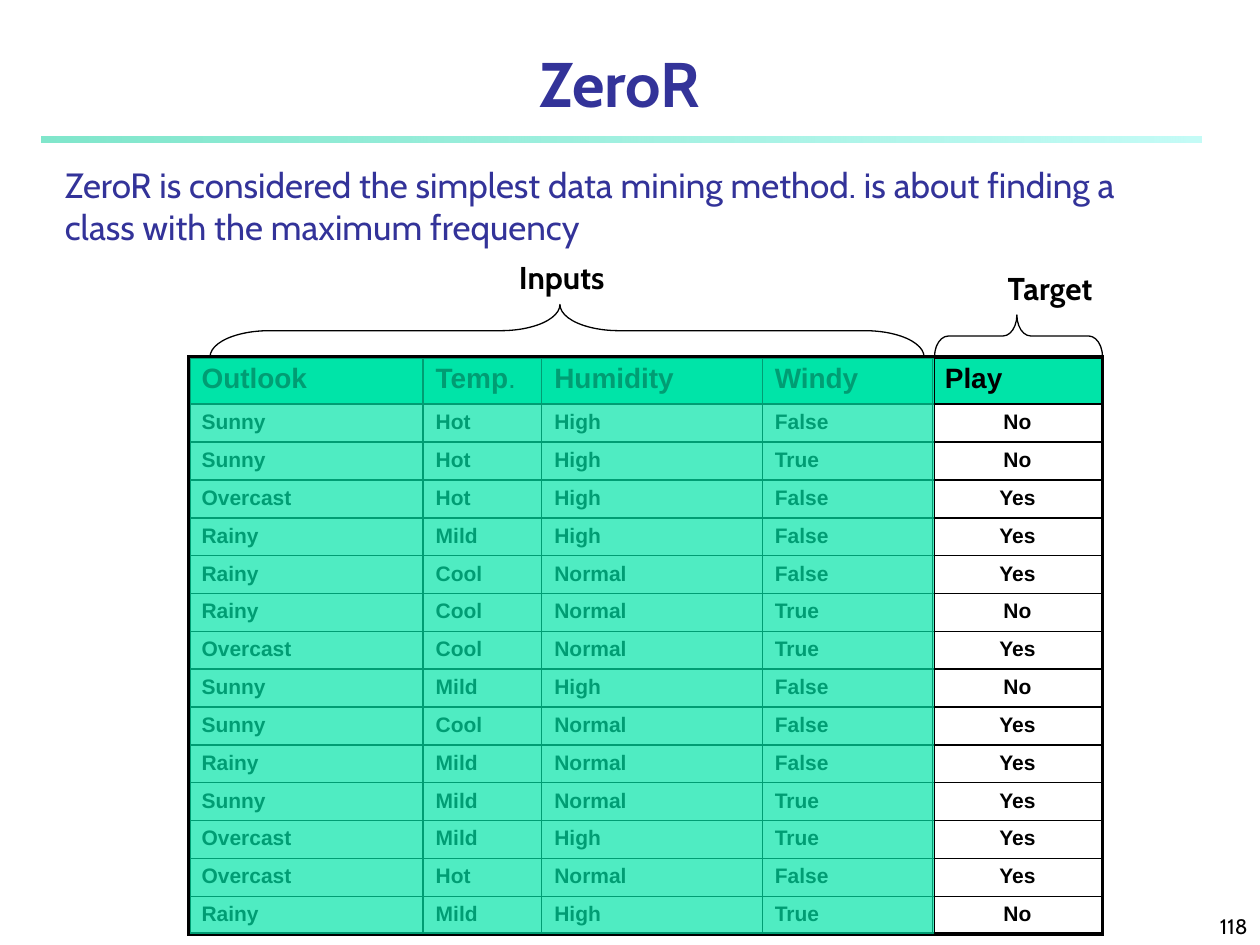
from lxml.etree import SubElement
from pptx import Presentation
from pptx.dml.color import RGBColor
from pptx.enum.shapes import MSO_SHAPE as Shape
from pptx.enum.text import MSO_ANCHOR as Anchor, PP_ALIGN as Align
from pptx.oxml.ns import qn
from pptx.util import Inches, Pt

COLORS = {"ink": "000000", "heading": "333399", "green": "00E4A8",
          "rule_start": "00CE98", "rule_end": "8FF9EF"}
UNIT = Inches(1) // 12  # the slide is a grid of 120 columns by 90 rows


def color(name):
    return RGBColor.from_string(COLORS[name])


def write(frame, text, size=12, font="Cabin", ink="ink", bold=False,
          align=Align.LEFT, anchor=Anchor.TOP):
    frame.word_wrap = True
    frame.vertical_anchor = anchor
    paragraph = frame.paragraphs[0]
    paragraph.alignment = align
    run = paragraph.add_run()
    run.text = text
    run.font.size, run.font.name, run.font.bold = Pt(size), font, bold
    run.font.color.rgb = color(ink)


presentation = Presentation()
presentation.slide_width, presentation.slide_height = 120 * UNIT, 90 * UNIT
slide = presentation.slides.add_slide(presentation.slide_layouts[6])
shapes = slide.shapes

# Rule under the title, fading to the right
rule = shapes.add_shape(Shape.RECTANGLE, 4 * UNIT, 13 * UNIT,
                        int(110.4 * UNIT), int(0.6 * UNIT))
rule.shadow.inherit = False
rule.line.fill.background()
rule.fill.gradient()
rule.fill.gradient_angle = 0
for stop, name in zip(rule.fill.gradient_stops, ("rule_start", "rule_end")):
    stop.color.rgb = color(name)
for tint, alpha in zip(rule.element.spPr.iter(qn("a:srgbClr")), (50, 52)):
    SubElement(tint, qn("a:alpha")).set("val", str(alpha * 1000))

# Title, introduction, page number and brace labels
texts = [
    ("ZeroR", (4, 5, 110, 7),
     dict(size=36, ink="heading", bold=True, align=Align.CENTER, anchor=Anchor.BOTTOM)),
    ("118", (95, 85, 25, 5), dict(align=Align.RIGHT, anchor=Anchor.BOTTOM)),
    ("ZeroR is considered the simplest data mining method. "
     "is about finding a class with the maximum frequency",
     (5, 15, 109, 13), dict(size=20, ink="heading")),
    ("Inputs", (43, 24, 21, 5), dict(size=18, bold=True, align=Align.CENTER)),
    ("Target", (90, 25, 20, 5), dict(size=18, bold=True, align=Align.CENTER)),
]
for text, box, style in texts:
    write(shapes.add_textbox(*(n * UNIT for n in box)).text_frame, text, **style)

# Weather table
rows = [line.split() for line in """\
Outlook Temp Humidity Windy Play
Sunny Hot High False No
Sunny Hot High True No
Overcast Hot High False Yes
Rainy Mild High False Yes
Rainy Cool Normal False Yes
Rainy Cool Normal True No
Overcast Cool Normal True Yes
Sunny Mild High False No
Sunny Cool Normal False Yes
Rainy Mild Normal False Yes
Sunny Mild Normal True Yes
Overcast Mild High True Yes
Overcast Hot Normal False Yes
Rainy Mild High True No""".splitlines()]
column_widths = [22.3, 11.3, 21, 16.2, 16.2]
last_row, last_column = len(rows) - 1, len(column_widths) - 1
table = shapes.add_table(len(rows), len(column_widths), 18 * UNIT, 34 * UNIT,
                         87 * UNIT, 55 * UNIT).table
table.first_row = table.horz_banding = False
for column, width in zip(table.columns, column_widths):
    column.width = int(width * UNIT)
for r, values in enumerate(rows):
    table.rows[r].height = int((3.6 if r else 4.5) * UNIT)
    for c, value in enumerate(values):
        cell = table.cell(r, c)
        centered = r > 0 and c == last_column
        style = dict(size=12 if r else 16, font="Arial",
                     align=Align.CENTER if centered else Align.LEFT)
        write(cell.text_frame, value, bold=True, **style)
        if value == "Temp":
            write(cell.text_frame, ".", **style)
        # Thick outer frame, thin inner grid
        outer = {"lnL": c == 0, "lnR": c == last_column,
                 "lnT": r == 0, "lnB": r == last_row}
        properties = cell._tc.get_or_add_tcPr()
        for side, thick in outer.items():
            border = SubElement(properties, qn(f"a:{side}"), w=str(Pt(2.25 if thick else 1)))
            fill = SubElement(border, qn("a:solidFill"))
            SubElement(fill, qn("a:srgbClr"), val=COLORS["ink"])
        if r == 0:
            cell.fill.solid()
            cell.fill.fore_color.rgb = color("green")
        else:
            cell.fill.background()

# Translucent veil over the input columns
veil = shapes.add_shape(Shape.RECTANGLE, 18 * UNIT, 34 * UNIT, 71 * UNIT, 55 * UNIT)
veil.shadow.inherit = False
veil.fill.solid()
veil.fill.fore_color.rgb = color("green")
tint = next(veil.element.spPr.iter(qn("a:srgbClr")))
SubElement(tint, qn("a:alpha")).set("val", "69000")
veil.line.color.rgb = color("ink")
veil.line.width = Pt(0.75)

# Braces over inputs and target, turned a quarter about their centres
for left, top, width, height, curl in ((20, 29, 68, 5, 1.13), (89, 30, 16, 4, 0.33)):
    shift = (width - height) / 2
    brace = shapes.add_shape(Shape.LEFT_BRACE, int((left + shift) * UNIT),
                             int((top - shift) * UNIT), height * UNIT, width * UNIT)
    brace.rotation = 90
    brace.adjustments[0], brace.adjustments[1] = curl, 0.51
    brace.shadow.inherit = False
    brace.fill.background()
    brace.line.color.rgb = color("ink")
    brace.line.width = Pt(0.75)

presentation.save("out.pptx")
